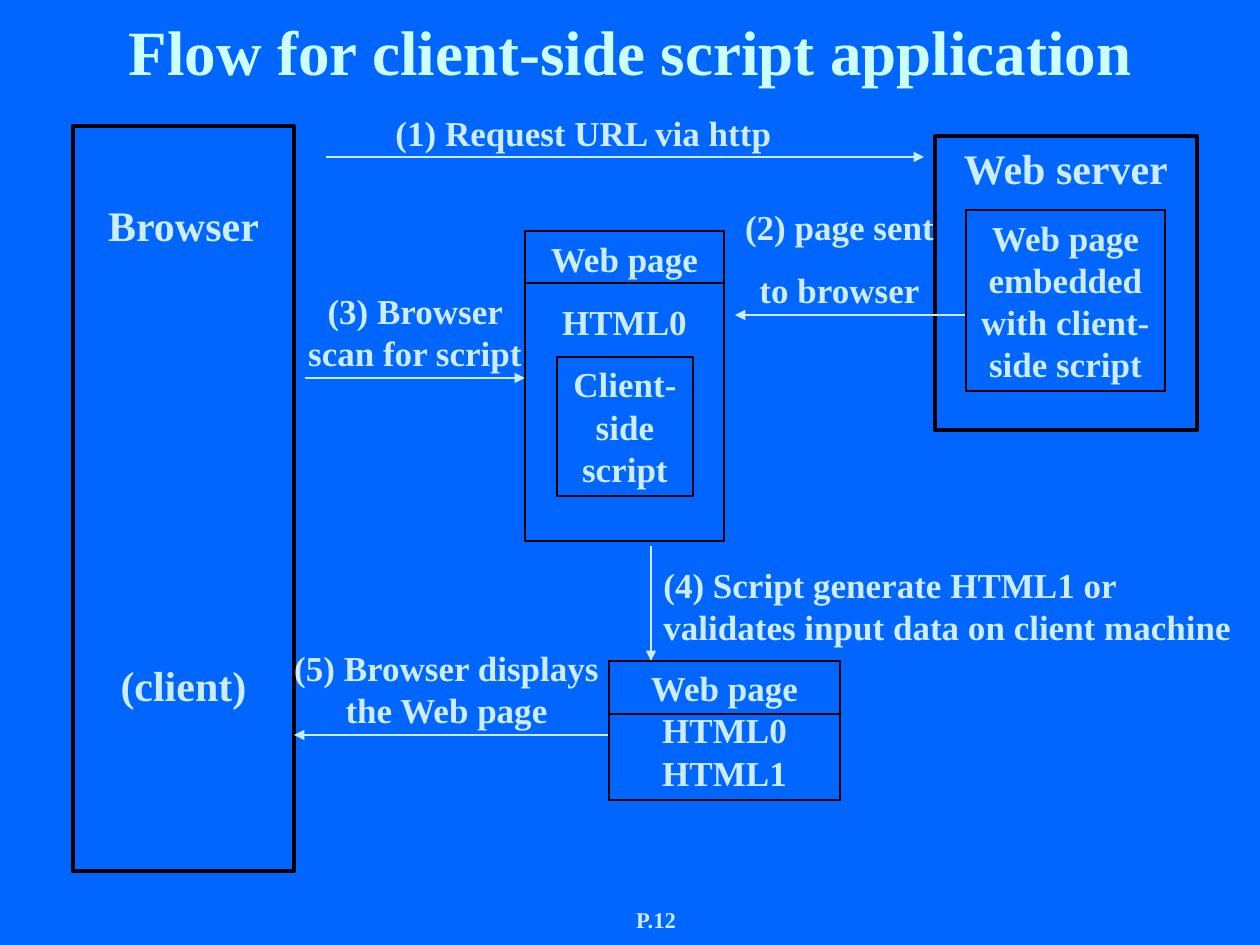
from pptx import Presentation
from pptx.dml.color import RGBColor
from pptx.enum.shapes import MSO_CONNECTOR as Connector, MSO_SHAPE as Shape
from pptx.enum.text import MSO_ANCHOR as Anchor, PP_ALIGN as Align
from pptx.oxml.ns import qn
from pptx.util import Emu, Pt
from lxml.etree import SubElement

COLORS = {"background": "0066FF", "title": "CCFFFF", "text": "CCECFF", "border": "000000"}
FONT = "Times New Roman"
EMU_PER_PX = 914400 / 126


def px(length):
    return Emu(round(length * EMU_PER_PX))


def rgb(name):
    return RGBColor.from_string(COLORS[name])


class FlowSlide:
    def __init__(self, slide):
        self.slide = slide
        fill = slide.background.fill
        fill.solid()
        fill.fore_color.rgb = rgb("background")

    def set_text(self, shape, lines, size, color="text", align=Align.CENTER, gap=12.5,
                 top=6, anchor=Anchor.TOP):
        frame = shape.text_frame
        frame.word_wrap = True
        frame.vertical_anchor = anchor
        frame.margin_top = px(top)
        frame.text = "\n".join(lines)
        for index, paragraph in enumerate(frame.paragraphs):
            paragraph.alignment = align
            paragraph.line_spacing = Pt(size * 1.2)
            paragraph.space_before = Pt(gap if index else 0)
            for run in paragraph.runs:
                run.font.name = FONT
                run.font.size = Pt(size)
                run.font.bold = True
                run.font.color.rgb = rgb(color)

    def label(self, area, *lines, size=20, **style):
        box = self.slide.shapes.add_textbox(*map(px, area))
        self.set_text(box, lines, size, **style)

    def box(self, area, *lines, size=20, border=0.75, **style):
        rect = self.slide.shapes.add_shape(Shape.RECTANGLE, *map(px, area))
        rect.shadow.inherit = False
        rect.fill.background()
        rect.line.color.rgb = rgb("border")
        rect.line.width = Pt(border)
        self.set_text(rect, lines, size, **style)

    def line(self, start, end, color="border"):
        connector = self.slide.shapes.add_connector(
            Connector.STRAIGHT, *map(px, (*start, *end)))
        connector.line.color.rgb = rgb(color)
        connector.line.width = Pt(0.75)
        SubElement(connector._element.spPr, qn("a:effectLst"))
        return connector

    def arrow(self, start, end):
        outline = self.line(start, end, "text")._element.spPr.find(qn("a:ln"))
        SubElement(outline, qn("a:tailEnd"), type="triangle")


def main():
    presentation = Presentation()
    presentation.slide_width, presentation.slide_height = px(1260), px(945)
    flow = FlowSlide(presentation.slides.add_slide(presentation.slide_layouts[6]))

    flow.label((525, 861, 262, 84), "P.12", size=12.9, top=45)
    flow.label((37, 21, 1187, 73), "Flow for client-side script application",
               size=36, color="title", anchor=Anchor.BOTTOM)

    flow.box((73, 126, 221, 745), "Browser", "(client)", size=24, border=2.5, top=74, gap=234)
    flow.box((935, 136, 262, 294), "Web server", size=24, border=2.5)

    flow.arrow((326, 157), (924, 157))
    flow.arrow((609, 735), (294, 735))
    flow.label((368, 105, 431, 55), "(1) Request URL via http")
    flow.label((273, 640, 347, 97), "(5) Browser displays the Web page")

    flow.arrow((966, 315), (735, 315))
    flow.label((724, 199, 231, 118), "(2) page sent", "to browser")
    flow.arrow((305, 378), (525, 378))
    flow.label((294, 283, 242, 97), "(3) Browser scan for script")

    flow.box((966, 210, 199, 181), "Web page embedded with client-side script")
    flow.box((525, 231, 199, 310), "Web page", "HTML0")
    flow.box((557, 357, 136, 139), "Client-side script")
    flow.box((609, 661, 231, 139), "Web page HTML0 HTML1")

    flow.arrow((651, 546), (651, 661))
    flow.label((651, 557, 609, 97),
               "(4) Script generate HTML1 or validates input data on client machine",
               align=Align.LEFT)
    flow.line((525, 283), (724, 283))
    flow.line((609, 714), (840, 714))

    presentation.save("out.pptx")


if __name__ == "__main__":
    main()
